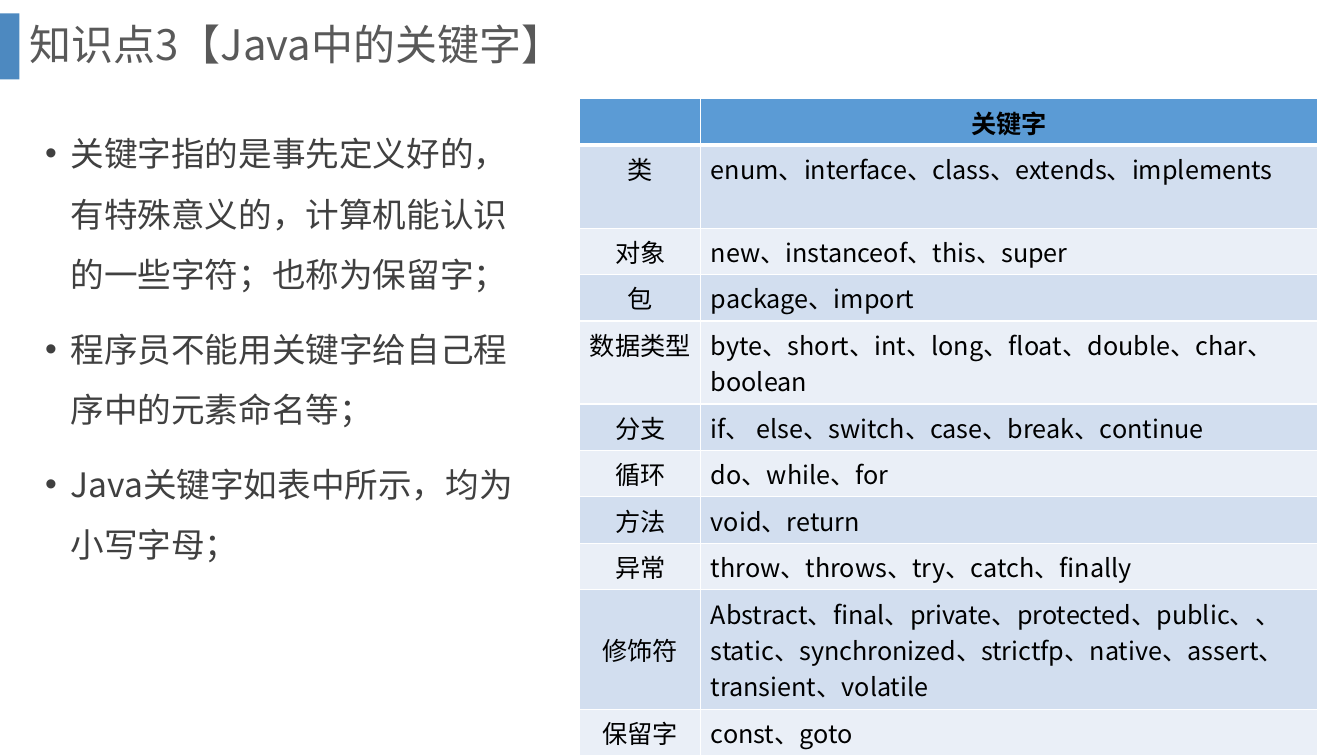
from lxml import etree
from pptx import Presentation
from pptx.dml.color import RGBColor
from pptx.enum.shapes import MSO_SHAPE
from pptx.enum.text import MSO_ANCHOR, PP_ALIGN
from pptx.oxml.ns import qn
from pptx.util import Cm, Pt

RECTANGLE = MSO_SHAPE.RECTANGLE
LEFT, CENTER = PP_ALIGN.LEFT, PP_ALIGN.CENTER
TOP, MIDDLE = MSO_ANCHOR.TOP, MSO_ANCHOR.MIDDLE

ACCENT = RGBColor(0x2E, 0x75, 0xB6)
TITLE_GREY = RGBColor(0x59, 0x59, 0x59)
BODY_GREY = RGBColor(0x40, 0x40, 0x40)
BLACK = RGBColor(0, 0, 0)
WHITE = RGBColor(0xFF, 0xFF, 0xFF)
HEADER_BLUE = RGBColor(0x5B, 0x9B, 0xD5)
BANDS = (RGBColor(0xD2, 0xDE, 0xEF), RGBColor(0xEA, 0xEF, 0xF7))

CJK_FONT = "Noto Sans CJK SC"
TITLE_FORMAT = {"size": Pt(30), "name": CJK_FONT}
BODY_FORMAT = {"size": Pt(24), "name": CJK_FONT}
HEADER_FORMAT = {"size": Pt(18), "name": "Calibri", "bold": True}
LABEL_FORMAT = {"size": Pt(18), "name": "Calibri", "bold": False}
WORDS_FORMAT = {"size": Pt(18), "name": CJK_FONT, "bold": False}

TITLE = "知识点3【Java中的关键字】"
POINTS = (
    "关键字指的是事先定义好的，有特殊意义的，计算机能认识的一些字符；也称为保留字；",
    "程序员不能用关键字给自己程序中的元素命名等；",
    "Java关键字如表中所示，均为小写字母；",
)
# Label, number of text lines, keywords
KEYWORDS = (
    ("类", 2, "enum、interface、class、extends、implements"),
    ("对象", 1, "new、instanceof、this、super"),
    ("包", 1, "package、import"),
    ("数据类型", 2, "byte、short、int、long、float、double、char、boolean"),
    ("分支", 1, "if、 else、switch、case、break、continue"),
    ("循环", 1, "do、while、for"),
    ("方法", 1, "void、return"),
    ("异常", 1, "throw、throws、try、catch、finally"),
    ("修饰符", 3, "Abstract、final、private、protected、public、、static、"
                  "synchronized、strictfp、native、assert、transient、volatile"),
    ("保留字", 1, "const、goto"),
)
CENTRED_LABEL = "修饰符"
CELL_PADDING, LINE_HEIGHT = Cm(0.25), Cm(0.92)


def write(paragraph, text, color, formats):
    run = paragraph.add_run()
    run.text = text
    for attribute, value in formats.items():
        setattr(run.font, attribute, value)
    run.font.color.rgb = color
    # East Asian typeface
    east_asian = etree.SubElement(run.font._element, qn("a:ea"))
    east_asian.set("typeface", CJK_FONT)


def add_text_area(slide, box, anchor):
    frame = slide.shapes.add_textbox(*box).text_frame
    frame.word_wrap = True
    frame.vertical_anchor = anchor
    return frame


def add_title(slide, box):
    left, top, width, height = box
    # Accent bar at the slide edge
    bar_width = Cm(0.49)
    bar = slide.shapes.add_shape(RECTANGLE, left, top + Cm(0.34), bar_width, Cm(1.66))
    bar.shadow.inherit = False
    bar.line.fill.background()
    bar.fill.solid()
    bar.fill.fore_color.rgb = ACCENT
    color = bar.fill._xPr.find(qn("a:solidFill"))[0]
    etree.SubElement(color, qn("a:alpha")).set("val", "85000")
    # Heading
    heading_box = (left + bar_width, top, width - bar_width, height)
    heading = add_text_area(slide, heading_box, MIDDLE).paragraphs[0]
    heading.line_spacing = 0.9
    write(heading, TITLE, TITLE_GREY, TITLE_FORMAT)


def add_points(slide, box):
    frame = add_text_area(slide, box, TOP)
    for index, point in enumerate(POINTS):
        paragraph = frame.add_paragraph() if index else frame.paragraphs[0]
        paragraph.line_spacing = 1.5
        paragraph.space_before = Pt(10)
        properties = paragraph._p.get_or_add_pPr()
        properties.set("marL", str(Cm(0.64)))
        properties.set("indent", str(-Cm(0.64)))
        etree.SubElement(properties, qn("a:buFont")).set("typeface", "Arial")
        etree.SubElement(properties, qn("a:buChar")).set("char", "•")
        write(paragraph, point, BODY_GREY, BODY_FORMAT)


def set_borders(cell, bottom_width):
    properties = cell._tc.get_or_add_tcPr()
    widths = {"lnL": Pt(1), "lnR": Pt(1), "lnT": Pt(1), "lnB": bottom_width}
    for position, (side, width) in enumerate(widths.items()):
        line = etree.Element(qn(f"a:{side}"), w=str(width))
        fill = etree.SubElement(line, qn("a:solidFill"))
        etree.SubElement(fill, qn("a:srgbClr")).set("val", str(WHITE))
        properties.insert(position, line)


def fill_cell(cell, text, background, align, formats, bottom_width=Pt(1)):
    cell.fill.solid()
    cell.fill.fore_color.rgb = background
    set_borders(cell, bottom_width)
    cell.vertical_anchor = MIDDLE if text == CENTRED_LABEL else TOP
    paragraph = cell.text_frame.paragraphs[0]
    paragraph.alignment = align
    if text:
        write(paragraph, text, BLACK, formats)


def add_keyword_table(slide, box):
    left, top, width = box
    line_counts = [1] + [lines for _, lines, _ in KEYWORDS]
    row_heights = [CELL_PADDING + lines * LINE_HEIGHT for lines in line_counts]
    table = slide.shapes.add_table(
        len(row_heights), 2, left, top, width, sum(row_heights)).table
    table.first_row = table.horz_banding = False
    for row, row_height in zip(table.rows, row_heights):
        row.height = row_height
    label_width = Cm(3.05)
    table.columns[0].width = label_width
    table.columns[1].width = width - label_width
    # Header row
    for column, heading in enumerate(("", "关键字")):
        fill_cell(table.cell(0, column), heading, HEADER_BLUE, CENTER,
                  HEADER_FORMAT, Pt(3))
    # One row per keyword group
    for row, (label, _, words) in enumerate(KEYWORDS, start=1):
        band = BANDS[(row - 1) % 2]
        fill_cell(table.cell(row, 0), label, band, CENTER, LABEL_FORMAT)
        fill_cell(table.cell(row, 1), words, band, LEFT, WORDS_FORMAT)


presentation = Presentation()
presentation.slide_width, presentation.slide_height = Cm(33.87), Cm(19.05)
keyword_slide = presentation.slides.add_slide(presentation.slide_layouts[6])
add_points(keyword_slide, (Cm(0.89), Cm(2.72), Cm(12.47), Cm(13.39)))
add_title(keyword_slide, (Cm(0), Cm(0), Cm(32.64), Cm(2.36)))
add_keyword_table(keyword_slide, (Cm(14.61), Cm(2.49), Cm(18.59)))
presentation.save("out.pptx")
